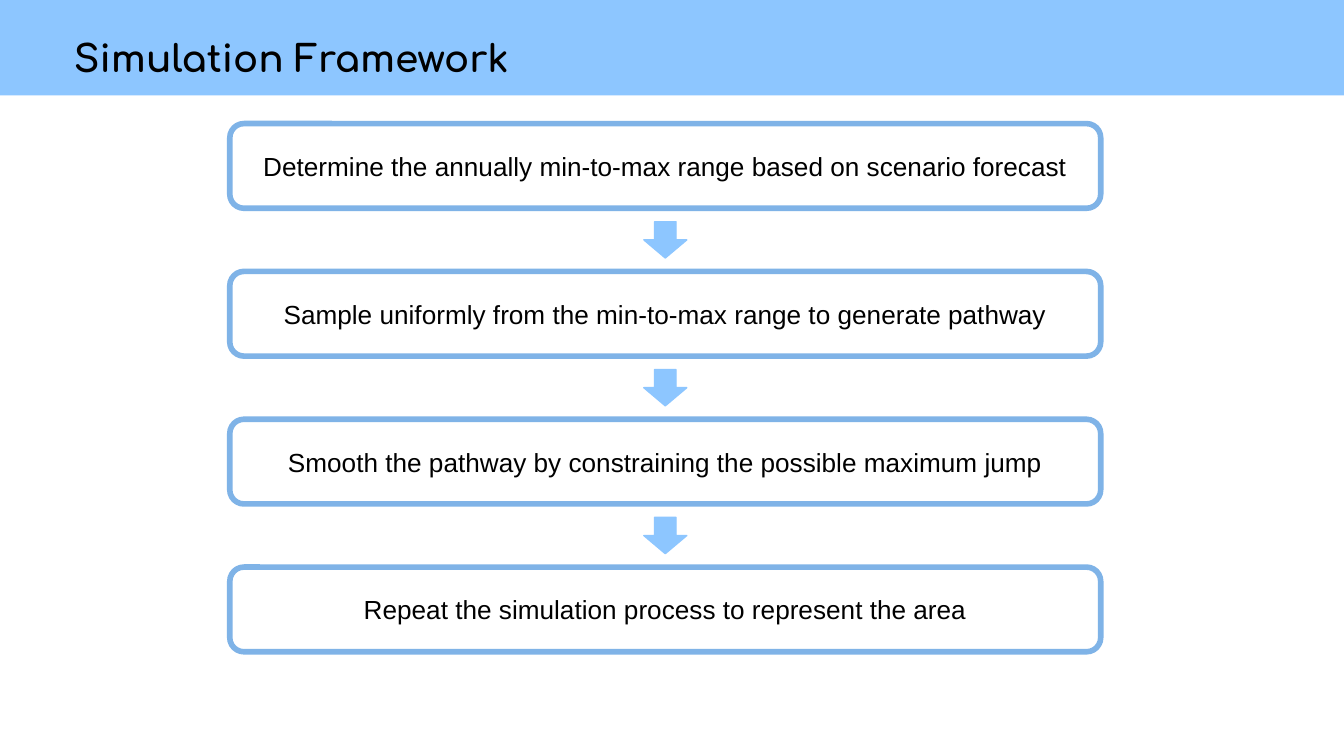
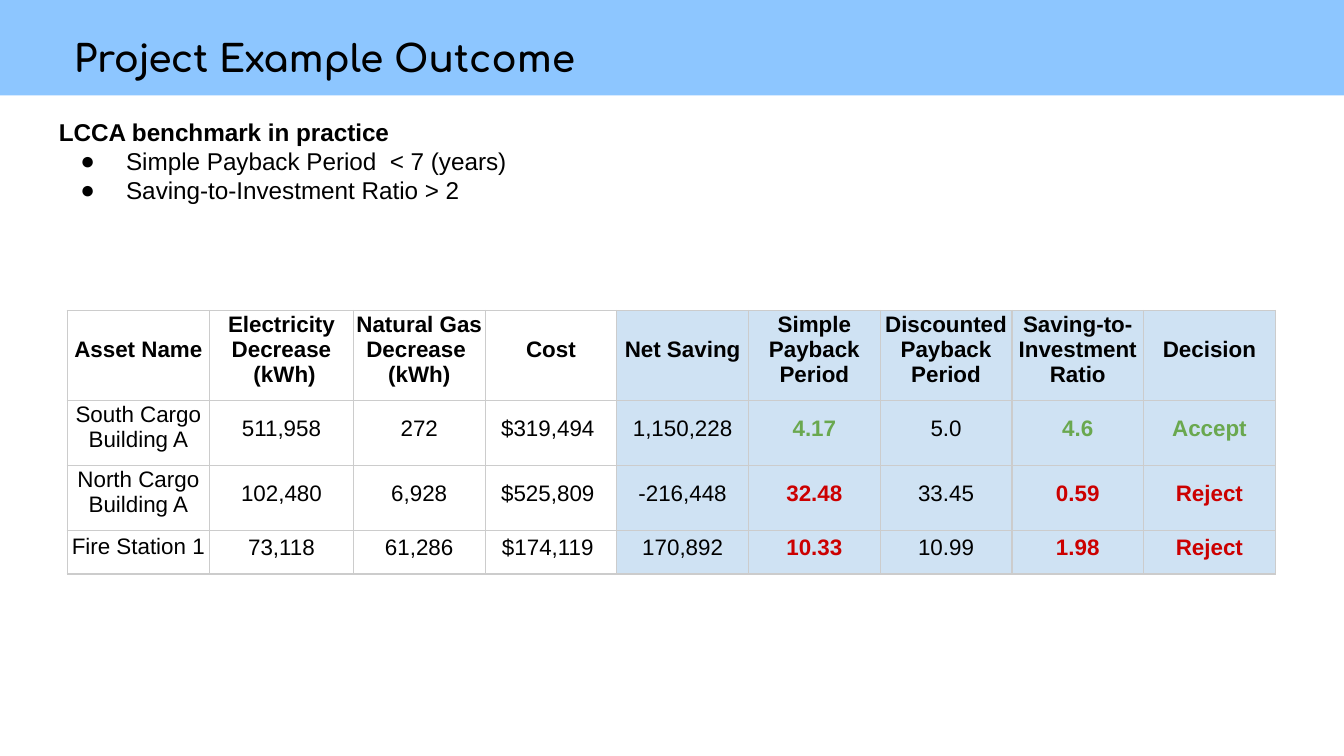
from dataclasses import dataclass
from typing import NamedTuple, Optional

from lxml import etree
from pptx import Presentation
from pptx import util as u
from pptx.dml.color import RGBColor
from pptx.enum import shapes, text
from pptx.oxml import ns


# Theme: colours, fonts and type sizes
@dataclass(frozen=True)
class Theme:
    band: str = "8DC6FF"
    box_line: str = "7FB3E7"
    paper: str = "FFFFFF"
    ink: str = "000000"
    result: str = "CFE2F3"
    grid: str = "CCCCCC"
    accept: str = "6AA84F"
    reject: str = "CC0000"
    title_font: str = "Comfortaa"
    body_font: str = "Arial"
    title_size: int = 20
    step_size: int = 14
    body_size: int = 13
    table_size: int = 12


THEME = Theme()


class Box(NamedTuple):
    left: float
    top: float
    width: float
    height: float

    def lengths(self) -> tuple:
        return tuple(u.Inches(value) for value in self)


class Asset(NamedTuple):
    name: str
    values: tuple
    decision: str


# Content
STEPS = (
    "Determine the annually min-to-max range based on scenario forecast",
    "Sample uniformly from the min-to-max range to generate pathway",
    "Smooth the pathway by constraining the possible maximum jump",
    "Repeat the simulation process to represent the area",
)
BENCHMARKS = ("Simple Payback Period  < 7 (years)", "Saving-to-Investment Ratio > 2")
HEADERS = (
    "Asset Name", "Electricity Decrease\n (kWh)", "Natural Gas Decrease \n(kWh)",
    "Cost", "Net Saving", "Simple Payback Period", "Discounted Payback Period",
    "Saving-to-Investment Ratio", "Decision",
)
ASSETS = (
    Asset("South Cargo Building A",
          ("511,958", "272", "$319,494 ", "1,150,228", "4.17", "5.0", "4.6"), "Accept"),
    Asset("North Cargo Building A",
          ("102,480", "6,928", "$525,809 ", "-216,448", "32.48", "33.45", "0.59"), "Reject"),
    Asset("Fire Station 1",
          ("73,118", "61,286", "$174,119 ", "170,892", "10.33", "10.99", "1.98"), "Reject"),
)
FIRST_RESULT_COLUMN = 4
VERDICT_COLUMNS = (5, 7, 8)
COLUMN_WIDTHS = (1.06, 1.07) + (0.98,) * 7
ROW_HEIGHTS = (0.67, 0.48, 0.48, 0.32)

# Layout of the slides and of the step chain
SLIDE_WIDTH = 10
SLIDE_HEIGHT = SLIDE_WIDTH * 9 / 16
BAND = Box(0, 0, SLIDE_WIDTH, 0.71)
TITLE = Box(0.45, 0.11, 9.32, 0.63)
FIRST_STEP = Box(1.71, 0.92, 6.48, 0.63)
FIRST_ARROW = Box(4.79, 1.65, 0.32, 0.27)
STEP_PITCH = 1.1


# Text helpers
def set_frame(frame, anchor=text.MSO_ANCHOR.MIDDLE) -> None:
    frame.word_wrap = True
    frame.auto_size = text.MSO_AUTO_SIZE.NONE
    frame.vertical_anchor = anchor
    frame.margin_left = frame.margin_right = u.Inches(0.1)
    frame.margin_top = frame.margin_bottom = u.Inches(0.1)


def write(paragraph, content: str, *, size: int, font: str = THEME.body_font,
          color: str = THEME.ink, bold: bool = False, align=text.PP_ALIGN.LEFT,
          spacing: Optional[float] = None, bullet: bool = False) -> None:
    if bullet:
        add_bullet(paragraph)
    paragraph.alignment = align
    if spacing:
        paragraph.line_spacing = spacing
    run = paragraph.add_run()
    run.text = content
    run.font.name = font
    run.font.size = u.Pt(size)
    run.font.bold = bold
    run.font.color.rgb = RGBColor.from_string(color)


def add_bullet(paragraph) -> None:
    properties = paragraph._p.get_or_add_pPr()
    properties.set("marL", str(u.Inches(0.5)))
    properties.set("indent", str(u.Inches(-0.34)))
    bullet_color = etree.SubElement(properties, ns.qn("a:buClr"))
    etree.SubElement(bullet_color, ns.qn("a:srgbClr"), val=THEME.ink)
    etree.SubElement(properties, ns.qn("a:buFont"), typeface=THEME.body_font)
    etree.SubElement(properties, ns.qn("a:buChar"), char="●")


# Shape helpers
def draw_shape(slide, kind, box: Box, fill: str, line: str, line_width: float):
    shape = slide.shapes.add_shape(kind, *box.lengths())
    shape.shadow.inherit = False
    shape.fill.solid()
    shape.fill.fore_color.rgb = RGBColor.from_string(fill)
    shape.line.color.rgb = RGBColor.from_string(line)
    shape.line.width = u.Pt(line_width)
    return shape


def move_band_to_layout(slide) -> None:
    band = draw_shape(slide, shapes.MSO_SHAPE.RECTANGLE, BAND, THEME.band, THEME.band, 0)
    band.line.fill.background()
    slide.slide_layout.shapes._spTree.insert(2, band._element)


def add_titled_slide(presentation, title: str):
    slide = presentation.slides.add_slide(presentation.slide_layouts[5])
    if len(presentation.slides) == 1:  # the layout carries the band for every slide
        move_band_to_layout(slide)
    placeholder = slide.shapes.title
    (placeholder.left, placeholder.top,
     placeholder.width, placeholder.height) = TITLE.lengths()
    set_frame(placeholder.text_frame)
    write(placeholder.text_frame.paragraphs[0], title, size=THEME.title_size,
          font=THEME.title_font, bold=True)
    return slide


# Table helpers
def set_borders(cell) -> None:
    properties = cell._tc.get_or_add_tcPr()
    for side in ("lnL", "lnR", "lnT", "lnB"):
        border = etree.SubElement(properties, ns.qn(f"a:{side}"), w=str(u.Pt(0.75)))
        fill = etree.SubElement(border, ns.qn("a:solidFill"))
        etree.SubElement(fill, ns.qn("a:srgbClr"), val=THEME.grid)


def fill_cell(cell, content: str, fill: str, **text_format) -> None:
    set_borders(cell)
    cell.fill.solid()
    cell.fill.fore_color.rgb = RGBColor.from_string(fill)
    cell.vertical_anchor = text.MSO_ANCHOR.MIDDLE
    cell.margin_left = cell.margin_right = cell.margin_top = u.Inches(0.01)
    cell.margin_bottom = u.Inches(0.1)
    frame = cell.text_frame
    for index, line in enumerate(content.split("\n")):
        paragraph = frame.add_paragraph() if index else frame.paragraphs[0]
        write(paragraph, line, size=THEME.table_size,
              align=text.PP_ALIGN.CENTER, **text_format)


def cell_format(row: int, column: int) -> dict:
    if row == 0:
        return {"bold": True}
    if column == 0:
        return {}
    if column in VERDICT_COLUMNS:
        accepted = ASSETS[row - 1].decision == "Accept"
        return {"bold": True, "spacing": 1.15,
                "color": THEME.accept if accepted else THEME.reject}
    return {"spacing": 1.15}


def add_outcome_table(slide) -> None:
    rows = [HEADERS] + [(asset.name, *asset.values, asset.decision) for asset in ASSETS]
    box = Box(0.5, 2.31, sum(COLUMN_WIDTHS), sum(ROW_HEIGHTS))
    table = slide.shapes.add_table(len(rows), len(HEADERS), *box.lengths()).table
    table.first_row = table.horz_banding = False
    for column, width in zip(table.columns, COLUMN_WIDTHS):
        column.width = u.Inches(width)
    for table_row, height in zip(table.rows, ROW_HEIGHTS):
        table_row.height = u.Inches(height)
    for row, contents in enumerate(rows):
        for column, content in enumerate(contents):
            fill = THEME.result if column >= FIRST_RESULT_COLUMN else THEME.paper
            fill_cell(table.cell(row, column), content, fill, **cell_format(row, column))


# Slides
def build_framework(presentation) -> None:
    slide = add_titled_slide(presentation, "Simulation Framework")
    for index, step in enumerate(STEPS):
        offset = index * STEP_PITCH
        box = draw_shape(slide, shapes.MSO_SHAPE.ROUNDED_RECTANGLE,
                         FIRST_STEP._replace(top=FIRST_STEP.top + offset),
                         THEME.paper, THEME.box_line, 3)
        set_frame(box.text_frame)
        write(box.text_frame.paragraphs[0], step, size=THEME.step_size,
              align=text.PP_ALIGN.CENTER)
        if index < len(STEPS) - 1:
            draw_shape(slide, shapes.MSO_SHAPE.DOWN_ARROW,
                       FIRST_ARROW._replace(top=FIRST_ARROW.top + offset),
                       THEME.band, THEME.band, 0.75)


def build_outcome(presentation) -> None:
    slide = add_titled_slide(presentation, "Project Example Outcome")
    add_outcome_table(slide)
    frame = slide.shapes.add_textbox(*Box(0.34, 0.77, 9.32, 0.89).lengths()).text_frame
    set_frame(frame, text.MSO_ANCHOR.TOP)
    write(frame.paragraphs[0], "LCCA benchmark in practice",
          size=THEME.body_size, bold=True)
    for benchmark in BENCHMARKS:
        write(frame.add_paragraph(), benchmark, size=THEME.body_size, bullet=True)


def main() -> None:
    presentation = Presentation()
    presentation.slide_width = u.Inches(SLIDE_WIDTH)
    presentation.slide_height = u.Inches(SLIDE_HEIGHT)
    build_framework(presentation)
    build_outcome(presentation)
    presentation.save("out.pptx")


if __name__ == "__main__":
    main()
